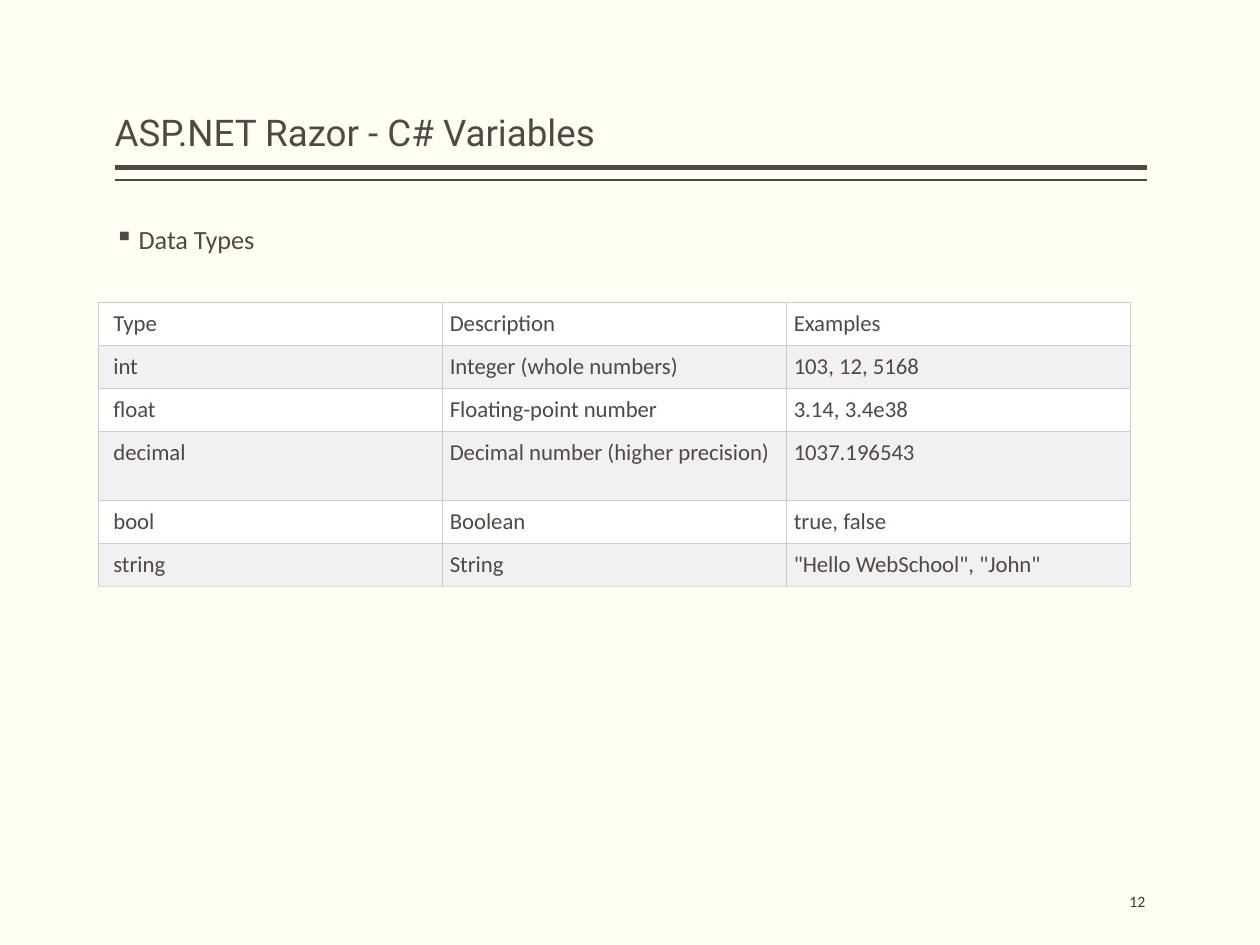
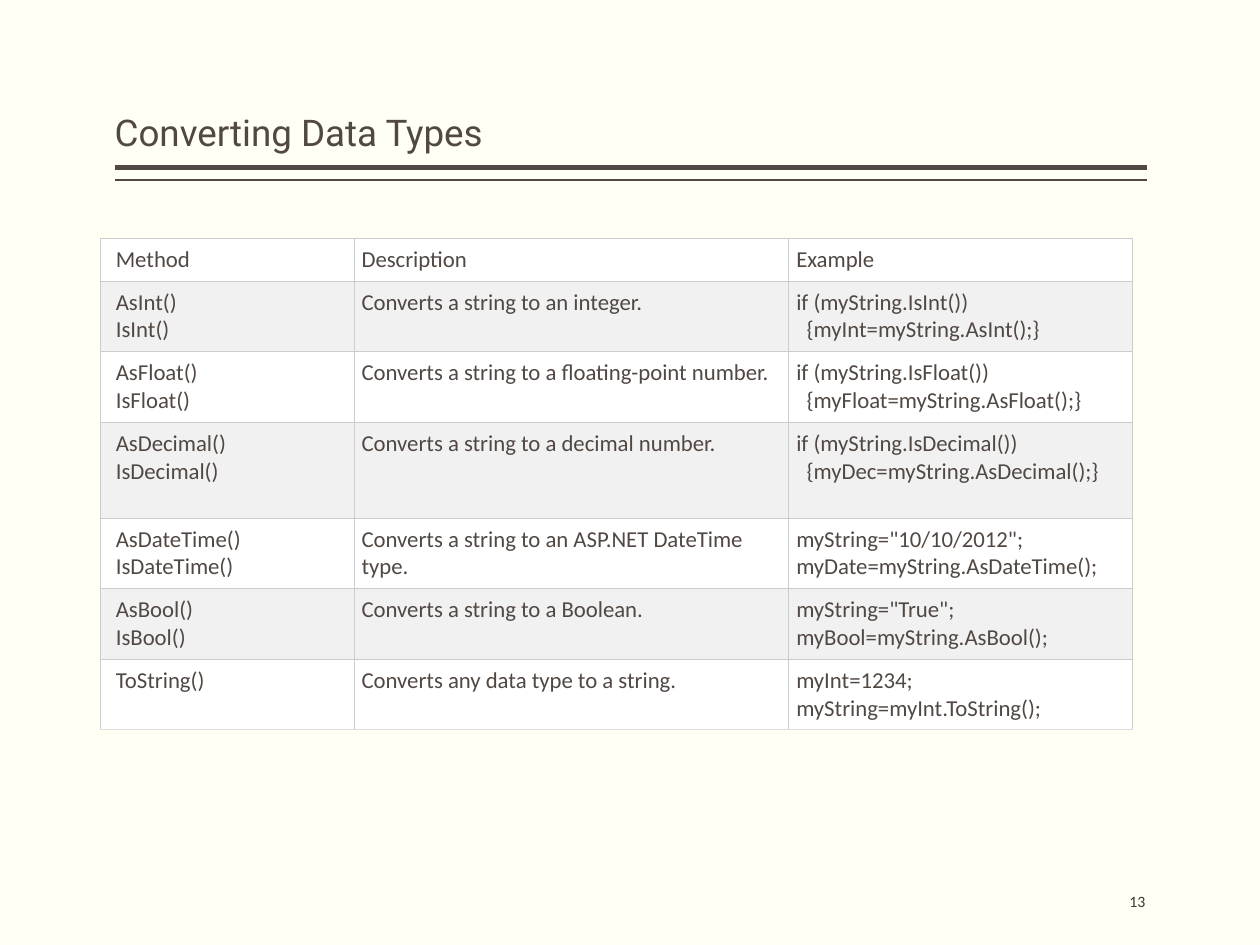
import pptx
import pptx.dml.color
import pptx.enum.shapes
import pptx.enum.text
import pptx.oxml
import pptx.oxml.ns
import pptx.util

Inches = pptx.util.Inches
Pt = pptx.util.Pt
ALIGN = pptx.enum.text.PP_ALIGN
ANCHOR = pptx.enum.text.MSO_ANCHOR

DATA_TYPES = [
    ["Type", "Description", "Examples"],
    ["int", "Integer (whole numbers)", "103, 12, 5168"],
    ["float", "Floating-point number", "3.14, 3.4e38"],
    ["decimal", "Decimal number (higher precision)", "1037.196543"],
    ["bool", "Boolean", "true, false"],
    ["string", "String", '"Hello WebSchool", "John"'],
]
CONVERSIONS = [
    ["Method", "Description", "Example"],
    ["AsInt()\nIsInt()", "Converts a string to an integer.",
     "if (myString.IsInt())\n  {myInt=myString.AsInt();}"],
    ["AsFloat()\nIsFloat()", "Converts a string to a floating-point number.",
     "if (myString.IsFloat())\n  {myFloat=myString.AsFloat();}"],
    ["AsDecimal()\nIsDecimal()", "Converts a string to a decimal number.",
     "if (myString.IsDecimal())\n  {myDec=myString.AsDecimal();}"],
    ["AsDateTime()\nIsDateTime()", "Converts a string to an ASP.NET DateTime type.",
     'myString="10/10/2012";\nmyDate=myString.AsDateTime();'],
    ["AsBool()\nIsBool()", "Converts a string to a Boolean.",
     'myString="True";\nmyBool=myString.AsBool();'],
    ["ToString()", "Converts any data type to a string.",
     "myInt=1234;\nmyString=myInt.ToString();"],
]


def rgb(value):
    """Turn a hex string into a colour."""
    return pptx.dml.color.RGBColor.from_string(value)


class Deck:
    """Holds the shared style and the slide being built."""

    PAPER, INK, NUMBER_INK = "FFFFF3", "514843", "3D3632"
    BANDS = ("FFFFFF", "F1F1F1")
    GRID, GRID_END = "CCCCCC", "DDDDDD"
    TITLE_FONT, BODY_FONT = "Roboto", "Calibri"
    LEFT, WIDTH = 0.91, 8.19

    def __init__(self):
        """Open an empty deck with its page size and background."""
        self.prs = pptx.Presentation()
        self.prs.slide_width, self.prs.slide_height = Inches(10), Inches(7.5)
        fill = self.prs.slide_master.background.fill
        fill.solid()
        fill.fore_color.rgb = rgb(self.PAPER)

    def start_slide(self, title, number):
        """Add a slide with its title, double rule and number."""
        self.slide = self.prs.slides.add_slide(self.prs.slide_layouts[5])
        self.rule(1.33, 3)
        self.rule(1.43, 1)
        self.title(title)
        self.number(number)

    def set_text(self, frame, text, size, font=BODY_FONT, color=INK, align=ALIGN.LEFT):
        """Put one formatted paragraph in a text frame and return it."""
        paragraph = frame.paragraphs[0]
        paragraph.text = text
        paragraph.alignment = align
        for run in paragraph.runs:
            run.font.size, run.font.name = Pt(size), font
            run.font.color.rgb = rgb(color)
        return paragraph

    def frame(self, shape, anchor):
        """Prepare the text frame of a shape."""
        frame = shape.text_frame
        frame.word_wrap = True
        frame.auto_size = pptx.enum.text.MSO_AUTO_SIZE.NONE
        frame.vertical_anchor = anchor
        frame.margin_left = frame.margin_right = 0
        frame.margin_top = frame.margin_bottom = Inches(0.05)
        return frame

    def text_box(self, left, top, width, height, anchor):
        """Add a text box and return its text frame."""
        box = self.slide.shapes.add_textbox(
            Inches(left), Inches(top), Inches(width), Inches(height))
        return self.frame(box, anchor)

    def rule(self, top, weight):
        """Draw a horizontal rule across the content width."""
        line = self.slide.shapes.add_connector(
            pptx.enum.shapes.MSO_CONNECTOR.STRAIGHT,
            Inches(self.LEFT + self.WIDTH), Inches(top), Inches(self.LEFT), Inches(top))
        line.line.width = Pt(weight)
        line.line.color.rgb = rgb(self.INK)
        line._element.spPr.append(pptx.oxml.parse_xml(
            f'<a:effectLst {pptx.oxml.ns.nsdecls("a")}/>'))

    def title(self, text):
        """Place and fill the title placeholder."""
        title = self.slide.shapes.title
        title.left, title.top = Inches(self.LEFT), Inches(0.08)
        title.width, title.height = Inches(self.WIDTH), Inches(1.2)
        frame = self.frame(title, ANCHOR.BOTTOM)
        self.set_text(frame, text, 21, self.TITLE_FONT).line_spacing = 0.9

    def number(self, number):
        """Add the slide number at the lower right."""
        frame = self.text_box(7.59, 6.95, 1.5, 0.4, ANCHOR.MIDDLE)
        self.set_text(frame, str(number), 9, color=self.NUMBER_INK, align=ALIGN.RIGHT)

    def bullet(self, text):
        """Add the body text with a square bullet."""
        frame = self.text_box(self.LEFT, 1.75, self.WIDTH, 5, ANCHOR.TOP)
        paragraph = self.set_text(frame, text, 15)
        paragraph.line_spacing, paragraph.space_before = 0.9, Pt(13.5)
        properties = paragraph._p.get_or_add_pPr()
        properties.set("marL", str(Inches(0.19)))
        properties.set("indent", str(-Inches(0.19)))
        properties.append(pptx.oxml.parse_xml(
            f'<a:buChar {pptx.oxml.ns.nsdecls("a")} char="▪"/>'))

    def borders(self, cell, bottom):
        """Draw the four borders of a cell."""
        colors = {"L": self.GRID, "R": self.GRID, "T": self.GRID, "B": bottom}
        for side, color in colors.items():
            cell._tc.get_or_add_tcPr().append(pptx.oxml.parse_xml(
                f'<a:ln{side} {pptx.oxml.ns.nsdecls("a")} w="{Pt(0.6)}"><a:solidFill>'
                f'<a:srgbClr val="{color}"/></a:solidFill></a:ln{side}>'))

    def table(self, left, top, widths, heights, rows):
        """Add a banded table with thin grey borders."""
        table = self.slide.shapes.add_table(
            len(rows), len(widths), Inches(left), Inches(top),
            Inches(sum(widths)), Inches(sum(heights))).table
        table.first_row = table.horz_banding = False
        for column, width in zip(table.columns, widths):
            column.width = Inches(width)
        for r, (texts, height) in enumerate(zip(rows, heights)):
            table.rows[r].height = Inches(height)
            bottom = self.GRID_END if r == len(rows) - 1 else self.GRID
            for c, text in enumerate(texts):
                cell = table.cell(r, c)
                cell.margin_left = Inches(0.06 if c else 0.12)
                cell.margin_right = cell.margin_top = cell.margin_bottom = Inches(0.06)
                self.borders(cell, bottom)
                cell.fill.solid()
                cell.fill.fore_color.rgb = rgb(self.BANDS[r % 2])
                self.set_text(cell.text_frame, text, 13)


def main():
    """Build and save both slides."""
    deck = Deck()
    deck.start_slide("ASP.NET Razor - C# Variables", 12)
    deck.bullet("Data Types")
    deck.table(0.78, 2.4, [2.73] * 3, [0.34] * 3 + [0.55] + [0.34] * 2, DATA_TYPES)

    deck.start_slide("Converting Data Types", 13)
    deck.table(0.8, 1.89, [2.01, 3.45, 2.73],
               [0.34] + [0.56] * 2 + [0.76] + [0.56] * 3, CONVERSIONS)
    deck.prs.save("out.pptx")


if __name__ == "__main__":
    main()
